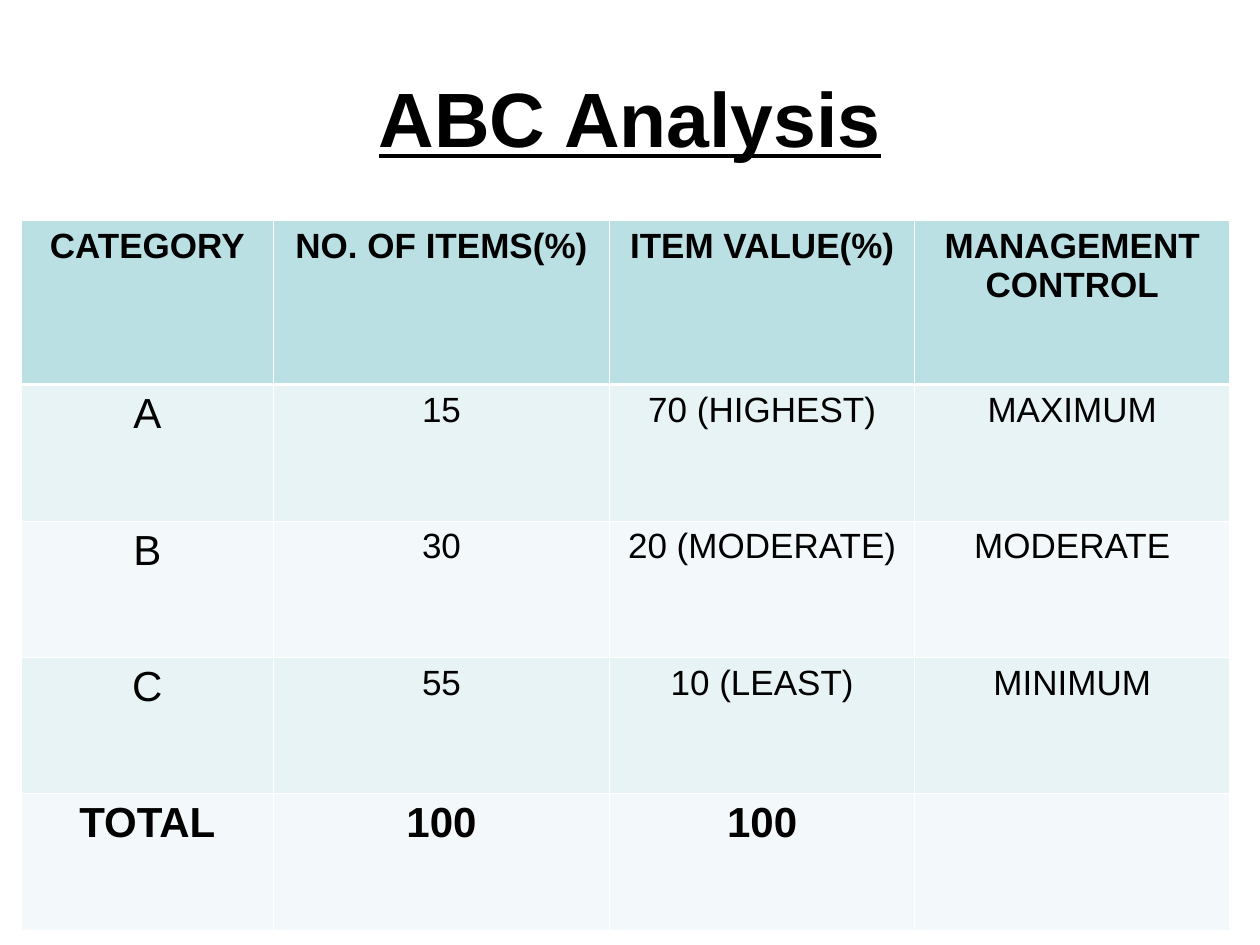
"""Build the ABC Analysis slide: a title above a table of item categories."""
import pptx
import pptx.dml.color
import pptx.enum.text
import pptx.oxml
import pptx.oxml.ns
import pptx.util

Cm, Pt = pptx.util.Cm, pptx.util.Pt
RGB = pptx.dml.color.RGBColor.from_string

TITLE = "ABC Analysis"
ROWS = [
    ("CATEGORY", "NO. OF ITEMS(%)", "ITEM VALUE(%)", "MANAGEMENT\nCONTROL"),
    ("A", "15", "70 (HIGHEST)", "MAXIMUM"),
    ("B", "30", "20 (MODERATE)", "MODERATE"),
    ("C", "55", "10 (LEAST)", "MINIMUM"),
    ("TOTAL", "100", "100", ""),
]
COLORS = {"text": "000000", "border": "FFFFFF", "header": "BBE0E3",
          "odd": "E7F3F4", "even": "F3F9FA"}
COL_WIDTHS = [5.08, 6.78, 6.15, 6.35]
ROW_HEIGHTS = [3.3] + [2.75] * 4
THIN, THICK = 0.45, 1.47
LAST = len(ROWS) - 1


def format_paragraph(p, size, bold):
    p.alignment = pptx.enum.text.PP_ALIGN.CENTER
    p.font.name = "Arial"
    p.font.size = Pt(size)
    p.font.bold = bold
    p.font.color.rgb = RGB(COLORS["text"])


def add_border(cell, side, width):
    cell._tc.get_or_add_tcPr().append(pptx.oxml.parse_xml(
        f'<a:ln{side} {pptx.oxml.ns.nsdecls("a")} w="{Pt(width)}"><a:solidFill>'
        f'<a:srgbClr val="{COLORS["border"]}"/></a:solidFill></a:ln{side}>'))


def fill_cell(cell, text, row, col):
    for side in "LRTB":
        under_header = (row, side) in ((0, "B"), (1, "T"))
        add_border(cell, side, THICK if under_header else THIN)
    band = "header" if row == 0 else "odd" if row % 2 else "even"
    cell.fill.solid()
    cell.fill.fore_color.rgb = RGB(COLORS[band])
    cell.text = text
    large = row == LAST or (row > 0 and col == 0)
    for p in cell.text_frame.paragraphs:
        format_paragraph(p, 24 if large else 20, row in (0, LAST))


def add_title(s):
    title = s.shapes.title
    title.left, title.top, title.width, title.height = Cm(1.27), Cm(0.76), Cm(22.86), Cm(3.18)
    tf = title.text_frame
    tf.text = TITLE
    tf.vertical_anchor = pptx.enum.text.MSO_ANCHOR.MIDDLE
    p = tf.paragraphs[0]
    format_paragraph(p, 44, True)
    p.font.underline = True


def add_category_table(s):
    table = s.shapes.add_table(len(ROWS), len(COL_WIDTHS), Cm(0.43), Cm(4.45),
                               Cm(sum(COL_WIDTHS)), Cm(sum(ROW_HEIGHTS))).table
    table.first_row = table.horz_banding = False
    for column, width in zip(table.columns, COL_WIDTHS):
        column.width = Cm(width)
    for row, (texts, height) in enumerate(zip(ROWS, ROW_HEIGHTS)):
        table.rows[row].height = Cm(height)
        for col, text in enumerate(texts):
            fill_cell(table.cell(row, col), text, row, col)


def main():
    prs = pptx.Presentation()
    prs.slide_width, prs.slide_height = Cm(25.4), Cm(19.05)
    s = prs.slides.add_slide(prs.slide_layouts[5])
    add_title(s)
    add_category_table(s)
    prs.save("out.pptx")


if __name__ == "__main__":
    main()
